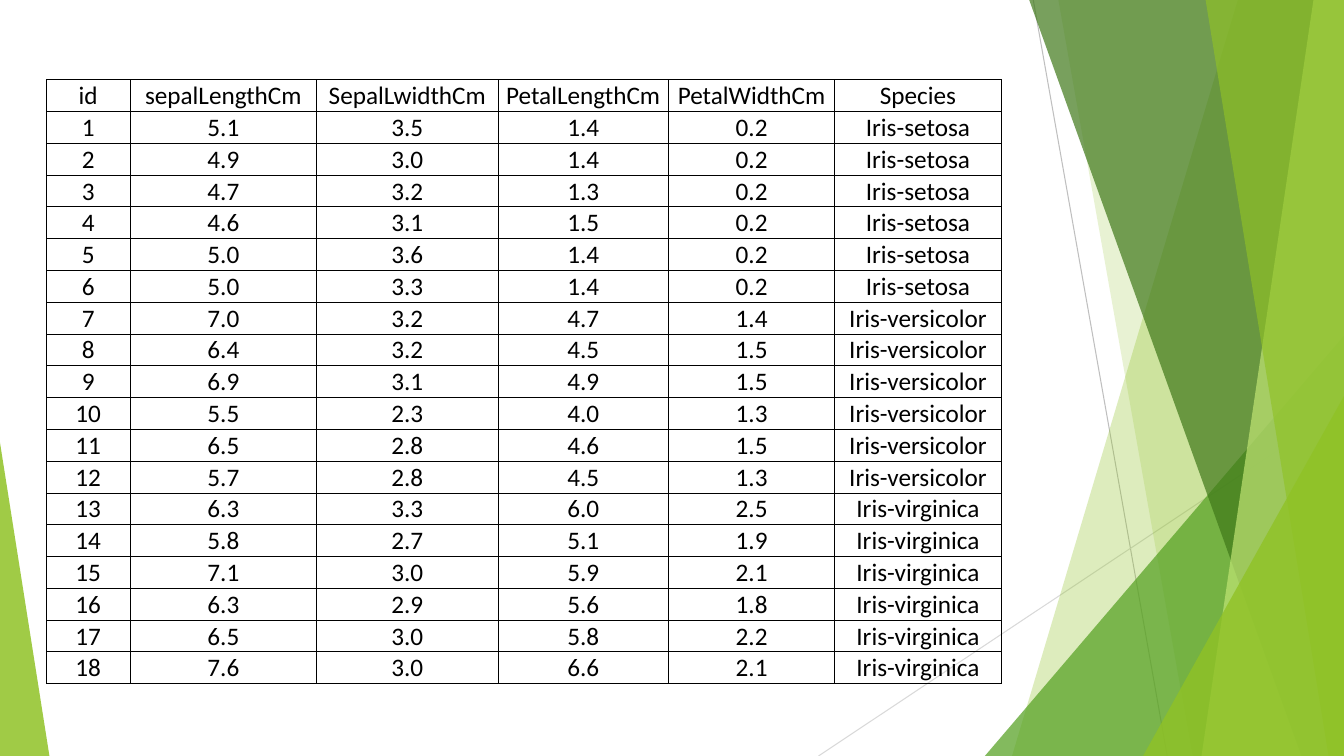
from dataclasses import dataclass

from pptx import Presentation
from pptx.dml.color import RGBColor
from pptx.enum.shapes import MSO_CONNECTOR, MSO_SHAPE
from pptx.enum.text import MSO_ANCHOR, PP_ALIGN
from pptx.oxml import parse_xml
from pptx.oxml.ns import nsdecls, qn
from pptx.oxml.xmlchemy import OxmlElement
from pptx.util import Inches, Pt


@dataclass(frozen=True)
class Theme:
    """Colours and type sizes of the slide."""
    font: str = "Calibri"
    body: float = 18
    hairline: float = 0.75
    border: float = 0.5
    ink: str = "000000"
    silver: str = "BFBFBF"
    mist: str = "D9D9D9"
    lime: str = "90C226"
    leaf: str = "54A021"
    forest: str = "3F7819"
    pale: str = "C0E474"


class Page:
    """Draws on one slide; every length is a percentage of the slide's size."""

    def __init__(self, deck, theme):
        """Add a blank slide to the deck."""
        self.theme = theme
        self.width, self.height = deck.slide_width, deck.slide_height
        self.shapes = deck.slides.add_slide(deck.slide_layouts[6]).shapes

    def x(self, share):
        """Turn a share of the width into a length."""
        return round(self.width * share / 100)

    def y(self, share):
        """Turn a share of the height into a length."""
        return round(self.height * share / 100)

    def line(self, start, end, color):
        """Draw a hairline between two points."""
        line = self.shapes.add_connector(
            MSO_CONNECTOR.STRAIGHT, self.x(start[0]), self.y(start[1]),
            self.x(end[0]), self.y(end[1]))
        line.line.color.rgb = RGBColor.from_string(color)
        line.line.width = Pt(self.theme.hairline)
        line.element.spPr.append(OxmlElement("a:effectLst"))

    def paint(self, shape, color, opacity):
        """Give a shape a translucent fill without outline or shadow."""
        shape.shadow.inherit = False
        shape.line.fill.background()
        shape.fill.solid()
        shape.fill.fore_color.rgb = RGBColor.from_string(color)
        alpha = OxmlElement("a:alpha")
        alpha.set("val", str(opacity * 1000))
        shape.element.spPr.find(".//" + qn("a:srgbClr")).append(alpha)

    def band(self, top_left, bottom_left, color, opacity):
        """Fill from a slanted left side to the right edge of the slide."""
        outline = self.shapes.build_freeform(self.x(top_left), 0)
        outline.add_line_segments([
            (self.width, 0), (self.width, self.height),
            (self.x(bottom_left), self.height)], close=True)
        self.paint(outline.convert_to_shape(), color, opacity)

    def corner(self, left, top, width, apex, color, opacity):
        """Stand a triangle on the bottom edge, its apex at 0 (left) to 1 (right)."""
        triangle = self.shapes.add_shape(
            MSO_SHAPE.ISOSCELES_TRIANGLE, self.x(left), self.y(top),
            self.x(width), self.y(100 - top))
        triangle.adjustments[0] = apex
        self.paint(triangle, color, opacity)

    def table(self, left, top, widths, height, rows):
        """Add a plain ruled table with centred text."""
        frame = self.shapes.add_table(
            len(rows), len(widths), self.x(left), self.y(top),
            self.x(sum(widths)), self.y(height))
        table = frame.table
        table.first_row = table.horz_banding = False
        for column, width in zip(table.columns, widths):
            column.width = self.x(width)
        for row, values in zip(table.rows, rows):
            row.height = self.y(height / len(rows))
            for cell, value in zip(row.cells, values):
                self.fill_cell(cell, value)

    def fill_cell(self, cell, value):
        """Write and format one table cell."""
        cell.fill.background()
        cell.vertical_anchor = MSO_ANCHOR.MIDDLE
        cell.margin_left = cell.margin_right = cell.margin_top = Inches(0.01)
        cell.margin_bottom = 0
        cell.text_frame.text = value
        para = cell.text_frame.paragraphs[0]
        para.alignment = PP_ALIGN.CENTER
        font = para.runs[0].font
        font.name, font.size = self.theme.font, Pt(self.theme.body)
        font.color.rgb = RGBColor.from_string(self.theme.ink)
        properties = cell._tc.get_or_add_tcPr()
        for position, side in enumerate("LRTB"):
            properties.insert(position, parse_xml(
                f'<a:ln{side} {nsdecls("a")} w="{Pt(self.theme.border)}">'
                f'<a:solidFill><a:srgbClr val="{self.theme.ink}"/></a:solidFill>'
                f'</a:ln{side}>'))


HEADINGS = ["id", "sepalLengthCm", "SepalLwidthCm", "PetalLengthCm",
            "PetalWidthCm", "Species"]
MEASUREMENTS = {
    "Iris-setosa": ["5.1 3.5 1.4 0.2", "4.9 3.0 1.4 0.2", "4.7 3.2 1.3 0.2",
                    "4.6 3.1 1.5 0.2", "5.0 3.6 1.4 0.2", "5.0 3.3 1.4 0.2"],
    "Iris-versicolor": ["7.0 3.2 4.7 1.4", "6.4 3.2 4.5 1.5", "6.9 3.1 4.9 1.5",
                        "5.5 2.3 4.0 1.3", "6.5 2.8 4.6 1.5", "5.7 2.8 4.5 1.3"],
    "Iris-virginica": ["6.3 3.3 6.0 2.5", "5.8 2.7 5.1 1.9", "7.1 3.0 5.9 2.1",
                       "6.3 2.9 5.6 1.8", "6.5 3.0 5.8 2.2", "7.6 3.0 6.6 2.1"],
}


def iris_rows():
    """List the heading row and the numbered flowers."""
    flowers = [(sizes, species) for species, samples in MEASUREMENTS.items()
               for sizes in samples]
    return [HEADINGS] + [[str(number), *sizes.split(), species]
                         for number, (sizes, species) in enumerate(flowers, 1)]


def draw_backdrop(page):
    """Draw the green facets and hairlines, from back to front."""
    theme = page.theme
    page.line((76.88, 0), (86.85, 100), theme.silver)
    page.line((100, 53.73), (60.9, 100), theme.mist)
    page.band(92.1, 75.3, theme.lime, 30)
    page.band(78.75, 88.73, theme.lime, 20)
    page.corner(73.28, 44.4, 26.72, 1, theme.leaf, 72)
    page.band(76.58, 96.83, theme.forest, 70)
    page.band(97.73, 89.4, theme.pale, 70)
    page.band(89.7, 98.85, theme.lime, 65)
    page.corner(85.05, 52.4, 14.95, 1, theme.lime, 80)
    page.corner(0, 58.53, 3.68, 0, theme.lime, 85)


def main():
    """Build and save the deck."""
    deck = Presentation()
    deck.slide_width, deck.slide_height = Inches(13.33), Inches(7.5)
    page = Page(deck, Theme())
    draw_backdrop(page)
    page.table(3.45, 10.53, [6.23, 13.88, 13.5, 12.68, 12.38, 12.38], 78.67,
               iris_rows())
    deck.save("out.pptx")


main()
